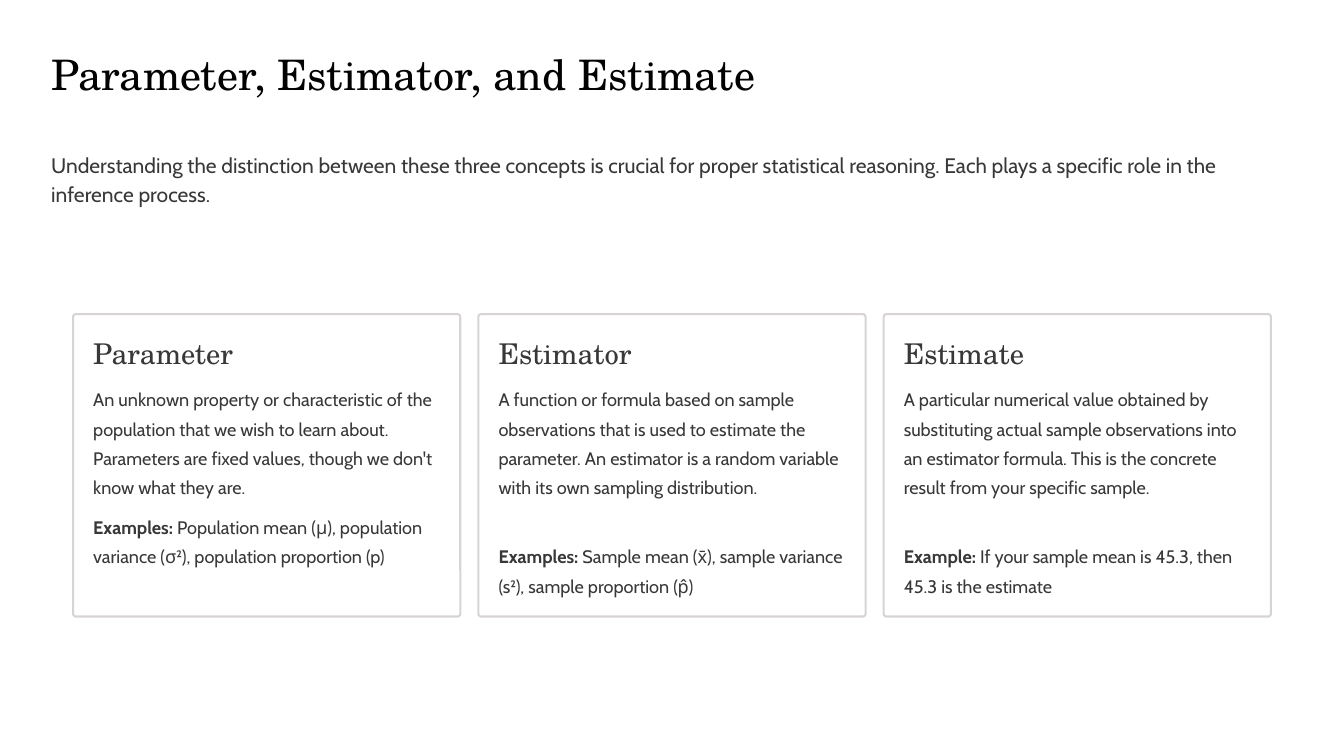
import pptx
import pptx.dml.color
import pptx.enum.shapes
import pptx.util

Inches = pptx.util.Inches
Pt = pptx.util.Pt
RGBColor = pptx.dml.color.RGBColor

BLACK = RGBColor(0x02, 0x02, 0x02)
GRAY = RGBColor(0x38, 0x38, 0x38)
EDGE = RGBColor(0xD8, 0xD4, 0xD4)
WHITE = RGBColor(0xFF, 0xFF, 0xFF)
SERIF = "TeX Gyre Schola"
SANS = "Cabin"

LEFT = 0.87
STEP = 4.825
PAD = 0.24

CARDS = [
    ("Parameter",
     "An unknown property or characteristic of the population that we wish to learn about. "
     "Parameters are fixed values, though we don't know what they are.",
     "Examples:",
     " Population mean (μ), population variance (σ²), population proportion (p)",
     6.06),
    ("Estimator",
     "A function or formula based on sample observations that is used to estimate the parameter. "
     "An estimator is a random variable with its own sampling distribution.",
     "Examples:",
     " Sample mean (x̄), sample variance (s²), sample proportion (p̂)",
     6.41),
    ("Estimate",
     "A particular numerical value obtained by substituting actual sample observations into an "
     "estimator formula. This is the concrete result from your specific sample.",
     "Example:",
     " If your sample mean is 45.3, then 45.3 is the estimate",
     6.41),
]


def add_text(slide, area, parts, face, size, lead, color=GRAY, wrap=True):
    box = slide.shapes.add_textbox(*map(Inches, area))
    frame = box.text_frame
    frame.margin_left = frame.margin_right = 0
    frame.margin_top = frame.margin_bottom = 0
    frame.word_wrap = wrap
    para = frame.paragraphs[0]
    para.line_spacing = Pt(lead)
    for text, bold in parts:
        run = para.add_run()
        run.text = text
        run.font.name = face
        run.font.size = Pt(size)
        run.font.bold = bold
        run.font.color.rgb = color


def add_panel(slide, left):
    kind = pptx.enum.shapes.MSO_SHAPE.ROUNDED_RECTANGLE
    panel = slide.shapes.add_shape(
        kind, Inches(left), Inches(3.74), Inches(4.61), Inches(3.6))
    panel.adjustments[0] = 0.009
    panel.shadow.inherit = False
    panel.fill.solid()
    panel.fill.fore_color.rgb = WHITE
    panel.line.color.rgb = EDGE
    panel.line.width = Pt(1.8)


def add_card(slide, left, card):
    head, body, label, cases, top = card
    inner = left + PAD
    add_panel(slide, left)
    add_text(slide, (inner, 3.98, 3.42, 0.43), [(head, False)],
             SERIF, 24.5, 30.5, wrap=False)
    add_text(slide, (inner, 4.54, 4.13, top - 4.67), [(body, False)],
             SANS, 15.5, 25)
    add_text(slide, (inner, top, 4.13, 7.1 - top),
             [(label, True), (cases, False)], SANS, 15.5, 25)


def main():
    deck = pptx.Presentation()
    deck.slide_width = Inches(16)
    deck.slide_height = Inches(9)
    slide = deck.slides.add_slide(deck.slide_layouts[6])
    slide.background.fill.solid()
    slide.background.fill.fore_color.rgb = WHITE
    add_text(slide, (0.61, 0.47, 8.94, 0.71),
             [("Parameter, Estimator, and Estimate", False)],
             SERIF, 36, 51, BLACK, wrap=False)
    add_text(slide, (0.61, 1.77, 14.26, 0.69),
             [("Understanding the distinction between these three concepts is crucial for proper "
               "statistical reasoning. Each plays a specific role in the inference process.", False)],
             SANS, 18, 25)
    for index, card in enumerate(CARDS):
        add_card(slide, LEFT + index * STEP, card)
    deck.save("out.pptx")


if __name__ == "__main__":
    main()
